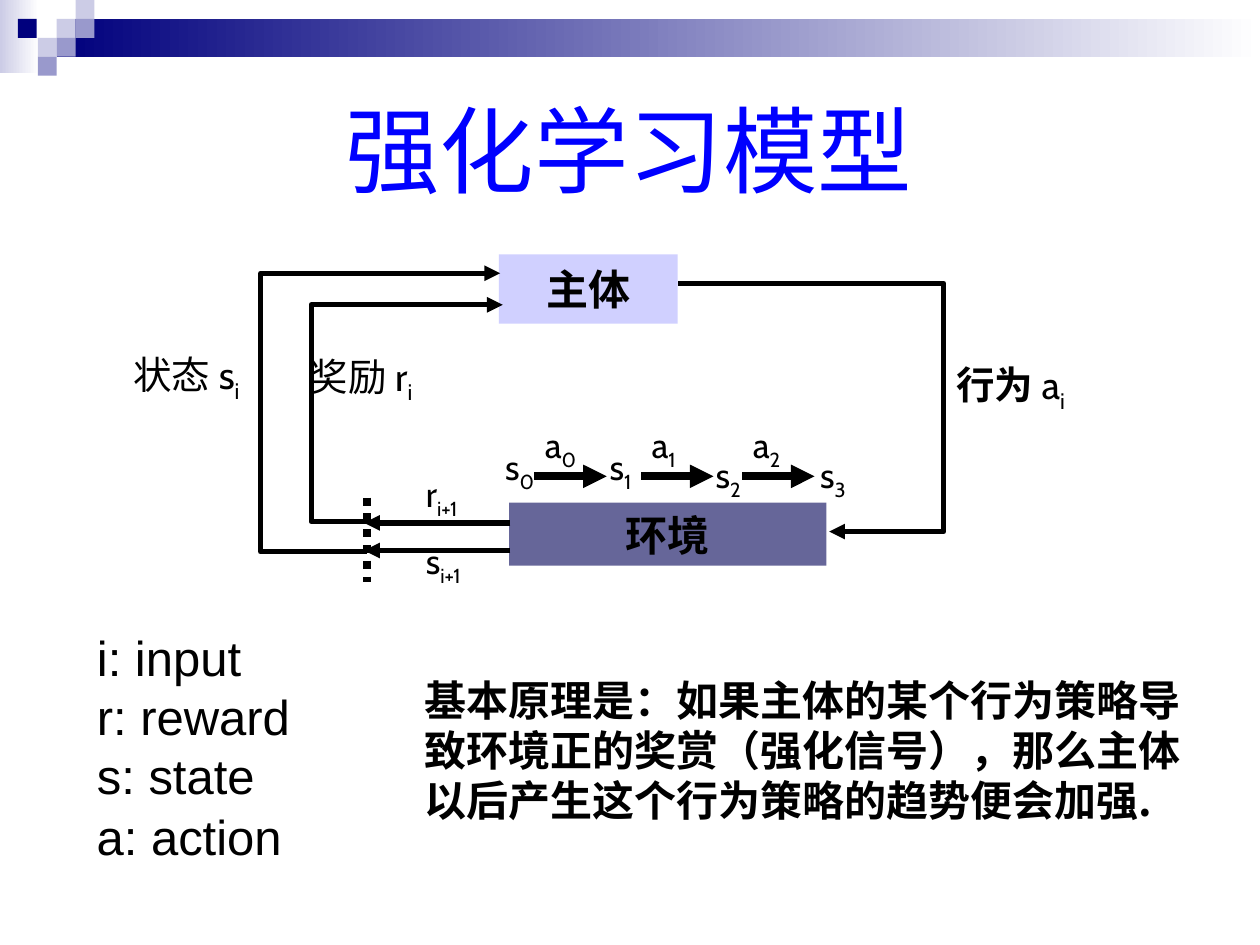
"""Build a slide that explains the reinforcement learning loop."""
from lxml import etree
from pptx import Presentation, util as u
from pptx.dml.color import RGBColor
from pptx.enum import dml, shapes, text
from pptx.oxml.ns import qn

Pt = u.Pt
CJK = "Noto Sans CJK SC"
BLACK = "000000"
CELL = 10.8


def colour(value):
    """Turn a hex string into a colour."""
    return RGBColor.from_string(value)


def add_span(para, content, font, size, hue, bold, sub=False):
    """Add one formatted run, lowered when it is a subscript."""
    span = para.add_run()
    span.text = content
    span.font.size = Pt(size)
    span.font.bold = bold
    span.font.color.rgb = colour(hue)
    span.font.name = font
    props = span.font._element
    etree.SubElement(props, qn("a:ea")).set("typeface", CJK)
    if sub:
        props.set("baseline", "-25000")


def write(box, content, font="Cabin", size=20, hue=BLACK, bold=False, lead="",
          align=text.PP_ALIGN.LEFT, anchor=text.MSO_ANCHOR.TOP, wrap=False,
          fit=text.MSO_AUTO_SIZE.SHAPE_TO_FIT_TEXT, spacing=None):
    """Write lines into a box; an underscore starts a subscript, lead is bold."""
    frame = box.text_frame
    frame.word_wrap = wrap
    frame.auto_size = fit
    frame.vertical_anchor = anchor
    for index, line in enumerate(content.split("\n")):
        para = frame.add_paragraph() if index else frame.paragraphs[0]
        para.alignment = align
        para.space_before = Pt(0)
        if spacing:
            para.line_spacing = Pt(spacing)
        if lead:
            add_span(para, lead, font, size, hue, True)
        base, _, sub = line.partition("_")
        add_span(para, base, font, size, hue, bold)
        if sub:
            add_span(para, sub, font, size, hue, bold, sub=True)


def place(box, left, top, width, height):
    """Move and size a placeholder."""
    box.left, box.top, box.width, box.height = map(Pt, (left, top, width, height))
    return box


def remove_bullets(box):
    """Take bullets and indents off every paragraph of a box."""
    for para in box.text_frame.paragraphs:
        props = para._p.get_or_add_pPr()
        props.set("marL", "0")
        props.set("indent", "0")
        etree.SubElement(props, qn("a:buNone"))


def add_label(page, content, left, top, width, height=34.5, **style):
    """Add a text box."""
    box = page.shapes.add_textbox(Pt(left), Pt(top), Pt(width), Pt(height))
    write(box, content, **style)


def add_block(page, left, top, width, height, fill, fade_to=None, opacity=None):
    """Add a rectangle without outline, plain, fading or see-through."""
    block = page.shapes.add_shape(shapes.MSO_SHAPE.RECTANGLE,
                                  Pt(left), Pt(top), Pt(width), Pt(height))
    block.shadow.inherit = False
    block.line.fill.background()
    if fade_to:
        block.fill.gradient()
        block.fill.gradient_angle = 0
        for stop, hue in zip(block.fill.gradient_stops, (fill, fade_to)):
            stop.color.rgb = colour(hue)
    else:
        block.fill.solid()
        block.fill.fore_color.rgb = colour(fill)
    if opacity:
        hue = block._element.spPr.find(".//" + qn("a:srgbClr"))
        etree.SubElement(hue, qn("a:alpha")).set("val", str(opacity * 1000))
    return block


def add_node(page, name, *area, **fill):
    """Add a named block of the model."""
    write(add_block(page, *area, **fill), name, size=24, bold=True,
          align=text.PP_ALIGN.CENTER, anchor=text.MSO_ANCHOR.MIDDLE,
          fit=text.MSO_AUTO_SIZE.NONE)


def style_line(shape, weight, arrow):
    """Give a line its black stroke and optional arrowhead."""
    shape.line.color.rgb = colour(BLACK)
    shape.line.width = Pt(weight)
    if arrow:
        stroke = shape.line._get_or_add_ln()
        etree.SubElement(stroke, qn("a:tailEnd")).set("type", "triangle")


def add_line(page, x1, y1, x2, y2, weight=3, arrow=True):
    """Add a straight connector."""
    line = page.shapes.add_connector(shapes.MSO_CONNECTOR.STRAIGHT,
                                     Pt(x1), Pt(y1), Pt(x2), Pt(y2))
    style_line(line, weight, arrow)
    etree.SubElement(line._element.spPr, qn("a:effectLst"))
    return line


def add_loop(page, start, side, end):
    """Add an open three-part path that turns at the given x position."""
    builder = page.shapes.build_freeform(Pt(start[0]), Pt(start[1]))
    corners = ((side, start[1]), (side, end[1]), end)
    builder.add_line_segments([(Pt(x), Pt(y)) for x, y in corners], close=False)
    loop = builder.convert_to_shape()
    loop.shadow.inherit = False
    loop.fill.background()
    style_line(loop, 3, True)


def add_banner(page):
    """Add the fading bar and the mosaic in the top left corner."""
    add_block(page, 0, 0, 22.3, 41.8, "CCCCE6", fade_to="FFFFFF")
    add_block(page, 32.4, CELL, 687.6, 21.6, "00007D", fade_to="FFFFFF")
    light, mid = "CCCCE6", "9999CC"
    cells = ((3, 1, light), (4, 0, light), (4, 1, mid), (2, 2, light),
             (3, 2, mid), (2, 3, mid))
    for column, row, hue in cells:
        add_block(page, column * CELL, row * CELL, CELL, CELL, hue)
    add_block(page, 10.2, CELL, CELL, CELL, "00007D")


def add_model(page):
    """Add agent, environment and the loops between them."""
    add_node(page, "主体", 285.1, 145.4, 102.2, 39.6, fill="9999FF", opacity=46)
    add_node(page, "环境", 290.9, 287.3, 181.4, 36, fill="666699")
    add_loop(page, (209.5, 315.4), 149, (285.8, 156.2))
    add_loop(page, (210.2, 298.1), 177.8, (287.3, 174.2))
    add_loop(page, (473.8, 162), 539.3, (473.8, 303.8))
    add_line(page, 473.8, 162, 387.4, 162, arrow=False)
    delay = add_line(page, 209.5, 284.4, 209.5, 332.6, weight=4.5, arrow=False)
    delay.line.dash_style = dml.MSO_LINE.ROUND_DOT
    for y in (314.6, 298.8):
        add_line(page, 291.6, y, 208.1, y)
    add_label(page, "状态 s_i", 69.1, 197.3, 82.1, 37.4, size=22)
    add_label(page, "奖励 r_i", 169.9, 198, 80.6, 37.4, size=22)
    add_label(page, "a_i", 539.3, 203, 138.2, 37.4, size=22, lead="行为 ", wrap=True)
    add_label(page, "s_i+1", 236.2, 304.6, 51.1, wrap=True)
    add_label(page, "r_i+1", 236.2, 266.4, 51.1, wrap=True)


def add_sequence(page):
    """Add the chain of states and actions above the environment."""
    states = ((281.5, 251.3), (341.3, 251.3), (401.8, 255.6), (461.5, 255.6))
    for index, (left, top) in enumerate(states):
        add_label(page, f"s_{index}", left, top, 40, wrap=True)
    for index, left in enumerate((305.3, 366.3, 424.1)):
        add_label(page, f"a_{index}", left - 1, 238.3, 32.4)
        add_line(page, left, 272.2, left + 41.4, 272.2, weight=4.5)


def main():
    """Build and save the deck."""
    deck = Presentation()
    deck.slide_width, deck.slide_height = Pt(720), Pt(540)
    page = deck.slides.add_slide(deck.slide_layouts[1])
    add_banner(page)
    title = place(page.shapes.title, 190.1, 49, 360, 72)
    write(title, "强化学习模型", font="DejaVu Sans", size=54, hue="0000FF",
          wrap=True, fit=text.MSO_AUTO_SIZE.NONE)
    legend = place(page.placeholders[1], 48.2, 355, 132.5, 108)
    write(legend, "i: input\nr: reward\ns: state", font="Arial", size=28, spacing=33.6)
    remove_bullets(legend)
    add_label(page, "a: action", 48.2, 457.2, 120.2, 41, font="Arial", size=28)
    add_model(page)
    add_sequence(page)
    principle = ("基本原理是：如果主体的某个行为策略导致环境正的奖赏（强化信号），"
                 "那么主体以后产生这个行为策略的趋势便会加强.")
    add_label(page, principle, 235.4, 381.6, 465.1, 93.6, font=CJK, size=24,
              bold=True, wrap=True, anchor=text.MSO_ANCHOR.MIDDLE)
    deck.save("out.pptx")


if __name__ == "__main__":
    main()
